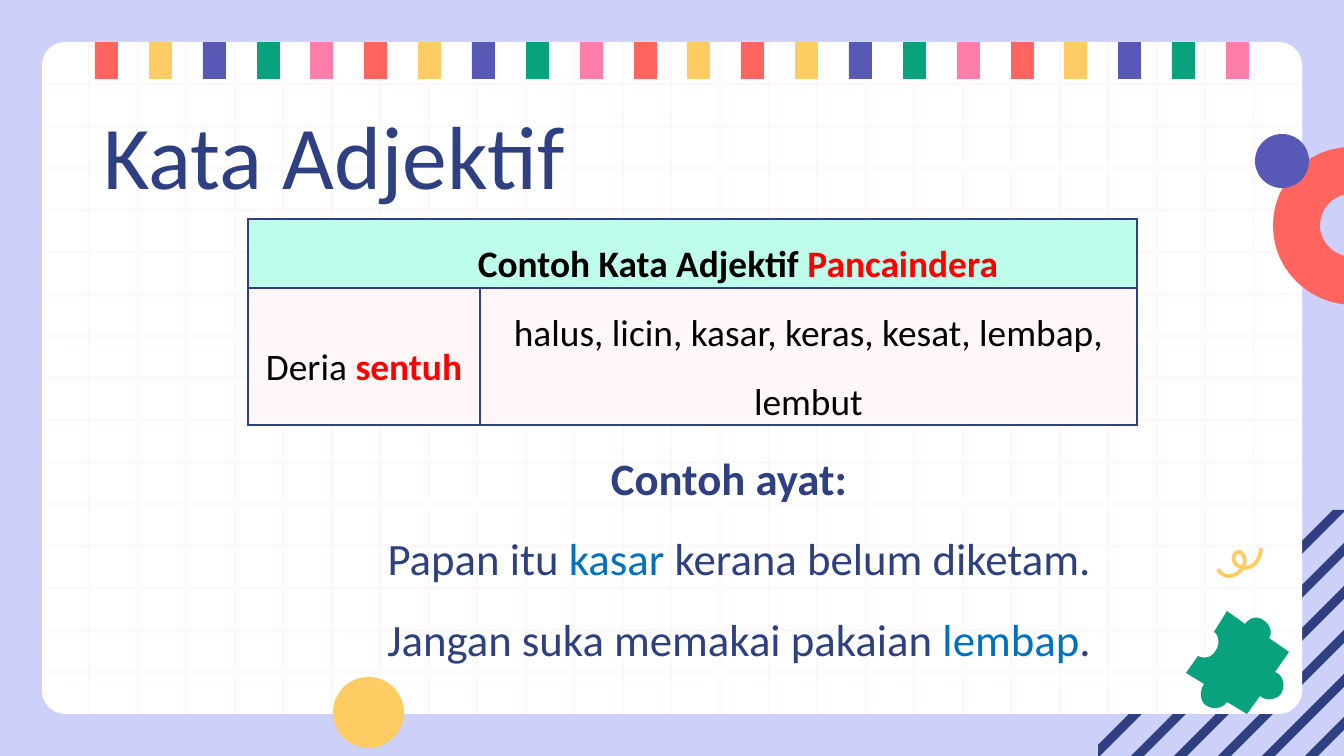
import dataclasses

import pptx
import pptx.dml.color
import pptx.enum.shapes
import pptx.enum.text
import pptx.oxml
import pptx.oxml.ns
import pptx.util

RGB = pptx.dml.color.RGBColor
SHAPE = pptx.enum.shapes.MSO_SHAPE
CENTER = pptx.enum.text.PP_ALIGN.CENTER

LILAC = RGB(0xCD, 0xD1, 0xF9)
WHITE = RGB(0xFF, 0xFF, 0xFF)
BLACK = RGB(0x00, 0x00, 0x00)
NAVY = RGB(0x2E, 0x40, 0x81)
BLUSH = RGB(0xFF, 0xF7, 0xF7)
MINT = RGB(0xBE, 0xFC, 0xEC)
CORAL = RGB(0xFF, 0x64, 0x5E)
YELLOW = RGB(0xFF, 0xCC, 0x63)
PURPLE = RGB(0x58, 0x59, 0xB6)
GREEN = RGB(0x08, 0xA3, 0x7C)
PINK = RGB(0xFF, 0x7D, 0xAB)
RED = RGB(0xFF, 0x00, 0x00)
BLUE = RGB(0x00, 0x70, 0xC0)
FLAGS = (CORAL, YELLOW, PURPLE, GREEN, PINK)

FONT = "Calibri"
PX_PER_INCH = 134.4
SCALE = 914400 / PX_PER_INCH


@dataclasses.dataclass(frozen=True)
class Box:
    x: int
    y: int
    w: int
    h: int


@dataclasses.dataclass(frozen=True)
class Run:
    text: str
    color: RGB
    bold: bool = False


@dataclasses.dataclass(frozen=True)
class Circle:
    box: Box
    color: RGB


PANEL = Box(42, 42, 1260, 672)
STRIPE_AREA = Box(1098, 510, 246, 246)
DOTS = (Circle(Box(333, 677, 71, 71), YELLOW), Circle(Box(1255, 134, 54, 54), PURPLE))

# A pair is a corner; six numbers are two control points and the end of a curve.
RING = ((1353, 305), (1310, 305, 1273, 270, 1273, 226), (1273, 182, 1308, 147, 1351, 147),
        (1351, 194), (1334, 194, 1320, 208, 1320, 226), (1320, 243, 1336, 257, 1352, 257))
PUZZLE = ((1263, 620), (1258, 616, 1250, 617, 1245, 624), (1227, 611), (1214, 632),
          (1219, 635, 1220, 644, 1216, 650), (1212, 658, 1204, 659, 1198, 656),
          (1186, 673), (1204, 684), (1199, 692, 1200, 702, 1207, 706),
          (1214, 710, 1223, 708, 1227, 702), (1247, 714), (1260, 696),
          (1267, 702, 1277, 699, 1281, 694), (1285, 687, 1284, 677, 1277, 673),
          (1275, 672), (1289, 652), (1269, 638), (1273, 633, 1270, 624, 1263, 620))
SQUIGGLE = ((1218, 569), (1221, 576, 1230, 578, 1236, 574), (1241, 572, 1247, 563, 1244, 557),
            (1242, 551, 1236, 550, 1234, 556), (1232, 562, 1237, 567, 1244, 568),
            (1254, 568, 1260, 560, 1261, 548))

TABLE_BOX = Box(248, 219, 889, 206)
COLUMNS = (232, 657)
ROWS = (69, 137)
HEADER = (Run("Contoh Kata Adjektif ", BLACK, True), Run("Pancaindera", RED, True))
SENSE = (Run("Deria ", BLACK), Run("sentuh", RED, True))
WORDS = (Run("halus, licin, kasar, keras, kesat, lembap, lembut", BLACK),)
SENTENCES = (
    (Run("Contoh ayat: ", NAVY, True),),
    (Run(" Papan itu ", NAVY), Run("kasar", BLUE), Run(" kerana belum diketam.", NAVY)),
    (Run(" Jangan suka memakai pakaian ", NAVY), Run("lembap", BLUE), Run(".", NAVY)),
)


def px(n: float) -> int:
    return round(n * SCALE)


def emu(box: Box) -> tuple[int, ...]:
    return tuple(px(n) for n in dataclasses.astuple(box))


def paint(s, color: RGB) -> None:
    s.shadow.inherit = False
    s.fill.solid()
    s.fill.fore_color.rgb = color
    s.line.fill.background()


def add_block(shapes, kind, box: Box, color: RGB):
    s = shapes.add_shape(kind, *emu(box))
    paint(s, color)
    return s


def add_rule(shapes, x1: int, y1: int, x2: int, y2: int) -> None:
    kind = pptx.enum.shapes.MSO_CONNECTOR.STRAIGHT
    s = shapes.add_connector(kind, px(x1), px(y1), px(x2), px(y2))
    s.line.color.rgb = BLUSH
    s.line.width = pptx.util.Pt(0.75)
    pptx.oxml.ns.qn("a:effectLst")
    s._element.spPr.append(pptx.oxml.parse_xml(
        f'<a:effectLst {pptx.oxml.ns.nsdecls("a")}/>'))


def flatten(outline, steps: int = 12) -> list[tuple[float, float]]:
    """Turn corners and cubic curves into plain points."""
    points = []
    for part in outline:
        if len(part) == 2:
            points.append(part)
            continue
        a, b, c, d = points[-1], part[:2], part[2:4], part[4:]
        for i in range(1, steps + 1):
            t = i / steps
            u = 1 - t
            points.append(tuple(u**3 * a[k] + 3 * u * u * t * b[k] + 3 * u * t * t * c[k]
                                + t**3 * d[k] for k in (0, 1)))
    return points


def add_outline(shapes, outline, color: RGB, closed: bool = True):
    points = [(px(x), px(y)) for x, y in flatten(outline)]
    fb = shapes.build_freeform(*points[0])
    fb.add_line_segments(points[1:], close=closed)
    s = fb.convert_to_shape()
    paint(s, color)
    return s


def add_diagonals(shapes, area: Box) -> None:
    """Draw slanted bands, cut off at the edges of a square area."""
    side = area.w
    for i in range(7):
        low = 453 - 131 * i // 3
        high = low + 13
        corner = [side] if low < side < high else []
        cuts = [low, *corner, high]
        left = [(max(0, c - side), min(c, side)) for c in cuts]
        right = [(y, x) for x, y in reversed(left)]
        add_outline(shapes, [(area.x + x, area.y + y) for x, y in left + right], NAVY)


def add_panel(shapes) -> None:
    right, bottom = PANEL.x + PANEL.w, PANEL.y + PANEL.h
    s = add_block(shapes, SHAPE.ROUNDED_RECTANGLE, PANEL, WHITE)
    s.adjustments[0] = 0.035
    for y in range(84, bottom - 41, 42):
        add_rule(shapes, PANEL.x, y, right, y)
    for i in range(25):
        x = 89 + round(48.54 * i)
        add_rule(shapes, x, PANEL.y, x, bottom)
    for i in range(22):
        color = FLAGS[(i if i < 12 else i - 12) % len(FLAGS)]
        add_block(shapes, SHAPE.RECTANGLE, Box(95 + round(53.86 * i), 42, 23, 37), color)


def write(p, runs: tuple[Run, ...], size: int) -> None:
    for run in runs:
        r = p.add_run()
        r.text = run.text
        r.font.name = FONT
        r.font.size = pptx.util.Pt(size)
        r.font.bold = run.bold
        r.font.color.rgb = run.color


def add_text(shapes, box: Box, lines, size: int, align=None, spacing=None) -> None:
    tf = shapes.add_textbox(*emu(box)).text_frame
    tf.word_wrap = True
    tf.margin_left = tf.margin_right = tf.margin_top = tf.margin_bottom = pptx.util.Inches(0.1)
    for i, runs in enumerate(lines):
        p = tf.add_paragraph() if i else tf.paragraphs[0]
        p.alignment = align
        p.line_spacing = spacing
        write(p, runs, size)


def fill_cell(cell, runs: tuple[Run, ...], color: RGB, indent: int = 0) -> None:
    cell.margin_left = cell.margin_right = pptx.util.Inches(0.1)
    cell.margin_top = cell.margin_bottom = 0
    cell.vertical_anchor = pptx.enum.text.MSO_ANCHOR.MIDDLE
    p = cell.text_frame.paragraphs[0]
    p.alignment = CENTER
    p.line_spacing = 1.5
    if indent:
        p._p.get_or_add_pPr().set("marL", str(px(indent)))
    write(p, runs, 20)
    cell.fill.solid()
    cell.fill.fore_color.rgb = color


def add_borders(cell) -> None:
    for i, edge in enumerate("LRTB"):
        cell._tc.get_or_add_tcPr().insert(i, pptx.oxml.parse_xml(
            f'<a:ln{edge} {pptx.oxml.ns.nsdecls("a")} w="12700"><a:solidFill>'
            f'<a:srgbClr val="{NAVY}"/></a:solidFill></a:ln{edge}>'))


def add_word_table(shapes) -> None:
    table = shapes.add_table(len(ROWS), len(COLUMNS), *emu(TABLE_BOX)).table
    table.first_row = table.horz_banding = False
    for column, width in zip(table.columns, COLUMNS):
        column.width = px(width)
    for row, height in zip(table.rows, ROWS):
        row.height = px(height)
    table.cell(0, 0).merge(table.cell(0, 1))
    fill_cell(table.cell(0, 0), HEADER, MINT, indent=91)
    fill_cell(table.cell(1, 0), SENSE, BLUSH)
    fill_cell(table.cell(1, 1), WORDS, BLUSH)
    for cell in table.iter_cells():
        add_borders(cell)


def main() -> None:
    prs = pptx.Presentation()
    prs.slide_width, prs.slide_height = px(1344), px(756)
    slide = prs.slides.add_slide(prs.slide_layouts[6])
    slide.background.fill.solid()
    slide.background.fill.fore_color.rgb = LILAC
    shapes = slide.shapes

    add_diagonals(shapes, STRIPE_AREA)
    add_panel(shapes)
    add_outline(shapes, RING, CORAL)
    for dot in DOTS:
        add_block(shapes, SHAPE.OVAL, dot.box, dot.color)
    add_outline(shapes, PUZZLE, GREEN)
    s = add_outline(shapes, SQUIGGLE, YELLOW, closed=False)
    s.fill.background()
    s.line.color.rgb = YELLOW
    s.line.width = pptx.util.Pt(2)

    add_text(shapes, Box(90, 87, 1133, 85), ((Run("Kata Adjektif", NAVY),),), 48)
    add_word_table(shapes)
    add_text(shapes, Box(249, 410, 970, 258), SENTENCES, 24, CENTER, 1.5)
    prs.save("out.pptx")


if __name__ == "__main__":
    main()
